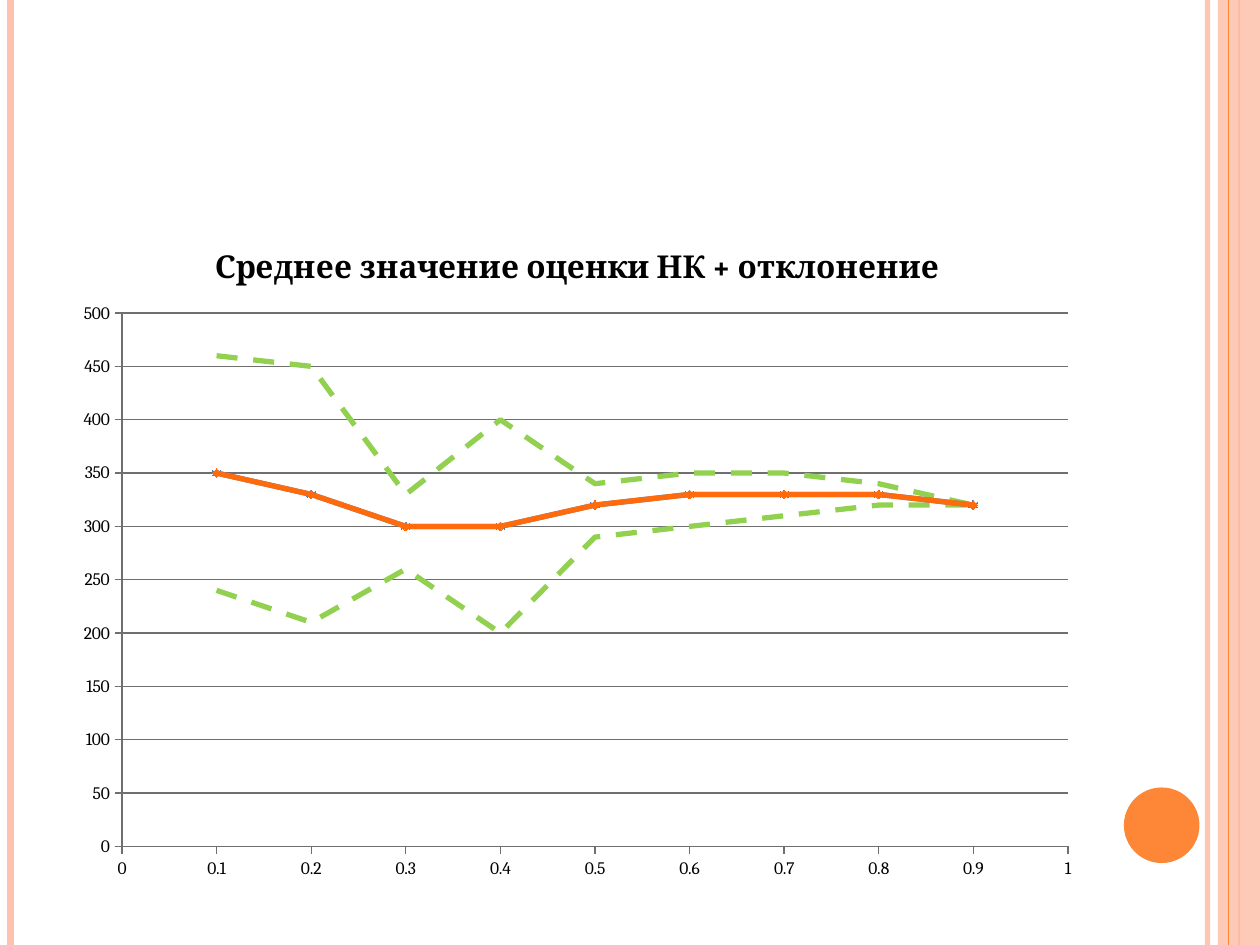
from dataclasses import dataclass
from typing import Any, Optional

from lxml.etree import SubElement
from pptx import Presentation
from pptx.chart.data import XyChartData
from pptx.dml.color import RGBColor
from pptx.enum.chart import XL_CHART_TYPE as ChartType, XL_MARKER_STYLE as Marker, XL_TICK_MARK as TickMark
from pptx.enum.dml import MSO_LINE_DASH_STYLE as Dash
from pptx.enum.shapes import MSO_CONNECTOR_TYPE as Connector, MSO_SHAPE as Shape
from pptx.oxml import parse_xml
from pptx.oxml.ns import nsdecls, qn
from pptx.util import Pt

WIDTH, HEIGHT = 720, 540
CHART_WIDTH, CHART_HEIGHT = 588, 384
ORANGE, PEACH, GREEN, GREY = "FE8637", "FEC3AE", "92D050", "6F6F6F"
BRIGHT_ORANGE, BLUE = "FF6A0D", "4A7EBB"


@dataclass
class Stripe:
    """A vertical line over the full slide height."""
    x: float
    color: str
    width: float
    opacity: int = 100


@dataclass
class Ornament:
    """A filled decorative shape."""
    kind: Any
    box: tuple
    color: str
    opacity: int = 100


@dataclass
class Curve:
    """One series of the chart."""
    name: str
    values: tuple
    color: str
    marker: Any = Marker.NONE
    dash: Optional[Any] = None


MEAN = (350, 330, 300, 300, 320, 330, 330, 330, 320)
CURVES = [
    Curve("Series 1", MEAN, BRIGHT_ORANGE, Marker.DIAMOND),
    Curve("Series 2", MEAN, BLUE, Marker.STAR),
    Curve("Series 3", (240, 210, 260, 200, 290, 300, 310, 320, 320), GREEN, dash=Dash.DASH),
    Curve("Series 4", (460, 450, 330, 400, 340, 350, 350, 340, 320), GREEN, dash=Dash.DASH),
]
DECORATION = [
    Stripe(690, PEACH, 3, 93),
    Stripe(6, PEACH, 4.5),
    Stripe(708, ORANGE, 1.5),
    Ornament(Shape.RECTANGLE, (696, 0, 24, HEIGHT), PEACH, 87),
    Stripe(702, ORANGE, 0.75),
    Ornament(Shape.OVAL, (642.25, 450, 43.2, 43.2), ORANGE),
]


def rgb(color: str) -> RGBColor:
    """Turn a hex string into a colour."""
    return RGBColor.from_string(color)


def apply(target: Any, values: dict) -> None:
    """Set each attribute named in the dict."""
    for name, value in values.items():
        setattr(target, name, value)


def paint(fill: Any, color: str) -> None:
    """Give a fill one solid colour."""
    fill.solid()
    fill.fore_color.rgb = rgb(color)


def style_line(line: Any, color: str, width: float) -> None:
    """Set the colour and width of a line."""
    paint(line.fill, color)
    line.width = Pt(width)


def set_opacity(shape: Any, percent: int) -> None:
    """Make the shape's colour partly transparent."""
    if percent < 100:
        color = next(shape.element.spPr.iter(qn("a:srgbClr")))
        SubElement(color, qn("a:alpha"), val=str(percent * 1000))


def draw_stripe(slide: Any, stripe: Stripe) -> None:
    """Draw a full-height line."""
    x = Pt(stripe.x)
    line = slide.shapes.add_connector(Connector.STRAIGHT, x, 0, x, Pt(HEIGHT))
    style_line(line.line, stripe.color, stripe.width)
    set_opacity(line, stripe.opacity)
    SubElement(line.element.spPr, qn("a:effectLst"))


def draw_ornament(slide: Any, ornament: Ornament) -> None:
    """Draw a filled shape without outline."""
    shape = slide.shapes.add_shape(ornament.kind, *map(Pt, ornament.box))
    shape.shadow.inherit = False
    paint(shape.fill, ornament.color)
    set_opacity(shape, ornament.opacity)
    shape.line.fill.background()


def style_axis(axis: Any, maximum: float, step: float, grid: bool) -> None:
    """Set the scale, ticks and lines of an axis."""
    apply(axis, {
        "minimum_scale": 0, "maximum_scale": maximum, "major_unit": step,
        "has_major_gridlines": grid, "major_tick_mark": TickMark.OUTSIDE,
        "minor_tick_mark": TickMark.NONE,
    })
    apply(axis.tick_labels, {"number_format": "General", "number_format_is_linked": False})
    style_line(axis.format.line, GREY, 0.75)
    if grid:
        style_line(axis.major_gridlines.format.line, GREY, 0.75)


def style_series(series: Any, curve: Curve) -> None:
    """Format one series and its markers."""
    series.smooth = False
    style_line(series.format.line, curve.color, 3)
    series.marker.style = curve.marker
    if curve.dash is not None:
        series.format.line.dash_style = curve.dash
    if curve.marker != Marker.NONE:
        series.marker.size = 5
        paint(series.marker.format.fill, curve.color)
        style_line(series.marker.format.line, curve.color, 0.75)


def place_plot(chart: Any, left: float, top: float, width: float, height: float) -> None:
    """Fix the inner plot area, given in points within the chart."""
    box = {"x": left / CHART_WIDTH, "y": top / CHART_HEIGHT,
           "w": width / CHART_WIDTH, "h": height / CHART_HEIGHT}
    values = "".join(f'<c:{name} val="{value:.4f}"/>' for name, value in box.items())
    layout = parse_xml(
        f'<c:layout {nsdecls("c")}><c:manualLayout><c:layoutTarget val="inner"/>'
        f'<c:xMode val="edge"/><c:yMode val="edge"/>{values}</c:manualLayout></c:layout>')
    plot_area = next(chart.element.iter(qn("c:plotArea")))
    for previous in plot_area.findall(qn("c:layout")):
        plot_area.remove(previous)
    plot_area.insert(0, layout)


def draw_chart(slide: Any) -> None:
    """Draw the scatter chart with its title."""
    data = XyChartData()
    for curve in CURVES:
        points = data.add_series(curve.name)
        for index, value in enumerate(curve.values, 1):
            points.add_data_point(index / 10, value)
    chart = slide.shapes.add_chart(
        ChartType.XY_SCATTER_LINES, Pt(36), Pt(126), Pt(CHART_WIDTH), Pt(CHART_HEIGHT), data).chart
    chart.has_legend = False
    apply(chart.font, {"name": "Cambria", "size": Pt(10)})
    chart.font.color.rgb = rgb("000000")
    chart.has_title = True
    chart.chart_title.include_in_layout = False
    run = chart.chart_title.text_frame.paragraphs[0].add_run()
    run.text = "Среднее значение оценки НК + отклонение"
    apply(run.font, {"name": "Cambria", "size": Pt(18), "bold": True})
    run.font.color.rgb = rgb("000000")
    style_axis(chart.category_axis, 1, 0.1, False)
    style_axis(chart.value_axis, 500, 50, True)
    chart.plots[0].vary_by_categories = False
    for series, curve in zip(chart.plots[0].series, CURVES):
        style_series(series, curve)
    place_plot(chart, 33.7, 52.9, 540.6, 304.8)


def main() -> None:
    """Build and save the slide."""
    presentation = Presentation()
    apply(presentation, {"slide_width": Pt(WIDTH), "slide_height": Pt(HEIGHT)})
    slide = presentation.slides.add_slide(presentation.slide_layouts[6])
    paint(slide.background.fill, "FFFFFF")
    for item in DECORATION:
        draw = draw_stripe if isinstance(item, Stripe) else draw_ornament
        draw(slide, item)
    draw_chart(slide)
    presentation.save("out.pptx")


main()
